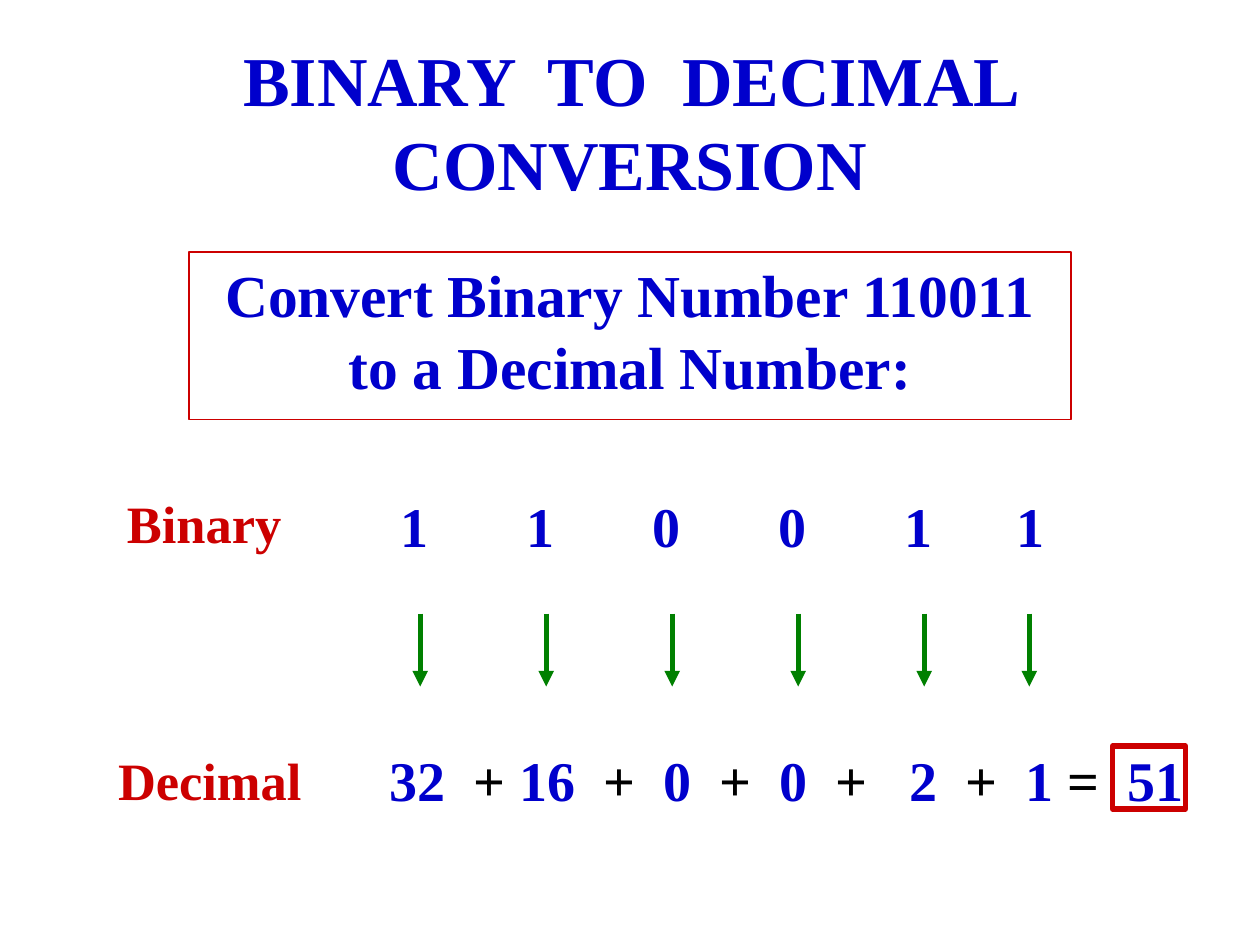
from lxml.etree import SubElement
from pptx import Presentation
from pptx.dml.color import RGBColor
from pptx.enum.shapes import MSO_CONNECTOR as CONN, MSO_SHAPE as SHAPE
from pptx.enum.text import MSO_ANCHOR as ANCHOR, PP_ALIGN as ALIGN
from pptx.oxml.ns import qn
from pptx.util import Cm, Pt

COLORS = {"blue": "0000CC", "red": "CC0000", "green": "008000", "black": "000000"}
FONT = "Times New Roman"
STEP = 2.54
BITS = "110011"
SUM = ["32", "+", "16", "+", "0", "+", "0", "+", "2", "+", "1", "=", "51"]
SUM_TABS = [1.69, 2.62, 4.31, 5.52, 6.65, 7.86, 8.99, 10.48, 11.61, 12.81, 13.66, 14.87]


def rgb(name):
    """Return the named colour."""
    return RGBColor.from_string(COLORS[name])


def set_font(font, size, color):
    """Apply the bold slide font."""
    font.name, font.size, font.bold = FONT, Pt(size), True
    font.color.rgb = rgb(color)


def add_tabs(p, stops):
    """Add left tab stops, given in centimetres."""
    tabs = SubElement(p._p.get_or_add_pPr(), qn("a:tabLst"))
    for stop in stops:
        SubElement(tabs, qn("a:tab"), pos=str(Cm(stop)), algn="l")


def add_text(s, box, text, size, color, align=ALIGN.LEFT, wrap=True, anchor=ANCHOR.TOP, tabs=()):
    """Add a one-paragraph text box and return it."""
    sp = s.shapes.add_textbox(*map(Cm, box))
    tf = sp.text_frame
    tf.word_wrap, tf.vertical_anchor = wrap, anchor
    p = tf.paragraphs[0]
    p.alignment = align
    if tabs:
        add_tabs(p, tabs)
    p.add_run().text = text
    set_font(p.font, size, color)
    return sp


def add_arrow(s, x, top, bottom):
    """Add a green arrow pointing down."""
    line = s.shapes.add_connector(CONN.STRAIGHT, Cm(x), Cm(top), Cm(x), Cm(bottom))
    line.line.color.rgb, line.line.width = rgb("green"), Pt(3)
    SubElement(line.line._get_or_add_ln(), qn("a:tailEnd"), type="triangle")
    SubElement(line._element.spPr, qn("a:effectLst"))


def add_heading(s, left, top, width):
    """Add the title and the framed task below it."""
    add_text(s, (left, top, width, 4.24), "BINARY  TO  DECIMAL CONVERSION",
             40, "blue", ALIGN.CENTER, anchor=ANCHOR.BOTTOM)
    task = add_text(s, (left, top + 5.08, width, 3.38),
                    "Convert Binary Number 110011 to a Decimal Number:", 34, "blue", ALIGN.CENTER)
    task.line.color.rgb, task.line.width = rgb("red"), Pt(0.75)


def add_binary_row(s, left, top):
    """Add the binary digits with an arrow under each."""
    add_text(s, (left, top, 1.43 * STEP, 1.52), "Binary", 30, "red", wrap=False)
    digits = left + 5.51
    offsets = [i * STEP for i in range(5)] + [12.42]
    add_text(s, (digits, top, 13.5, 1.63), "\t".join(BITS), 32, "blue", tabs=offsets[1:])
    for offset in offsets[:-1] + [12.28]:
        add_arrow(s, digits + 0.65 + offset, top + 2.59, top + 4.06)


def add_decimal_row(s, left, top):
    """Add the place-value sum with its framed result."""
    add_text(s, (left, top + 0.05, 4.22, 1.52), "Decimal", 30, "red", wrap=False)
    sp = s.shapes.add_textbox(Cm(left + 5.48), Cm(top), Cm(17), Cm(1.63))
    sp.text_frame.word_wrap = True
    p = sp.text_frame.paragraphs[0]
    add_tabs(p, SUM_TABS)
    for i, term in enumerate(SUM):
        r = p.add_run()
        r.text = "\t" + term if i else term
        set_font(r.font, 32, "blue" if term.isdigit() else "black")
    frame = s.shapes.add_shape(SHAPE.RECTANGLE, Cm(left + 20.3), Cm(top + 0.13), Cm(1.47), Cm(1.27))
    frame.shadow.inherit = False
    frame.fill.background()
    frame.line.color.rgb, frame.line.width = rgb("red"), Pt(3)


def main():
    """Build and save the slide."""
    prs = Presentation()
    prs.slide_width, prs.slide_height = Cm(25.4), Cm(19.05)
    s = prs.slides.add_slide(prs.slide_layouts[6])
    add_heading(s, 3.81, 0, 17.78)
    add_binary_row(s, 2.31, 9.78)
    add_decimal_row(s, 2.13, 14.91)
    prs.save("out.pptx")


if __name__ == "__main__":
    main()
